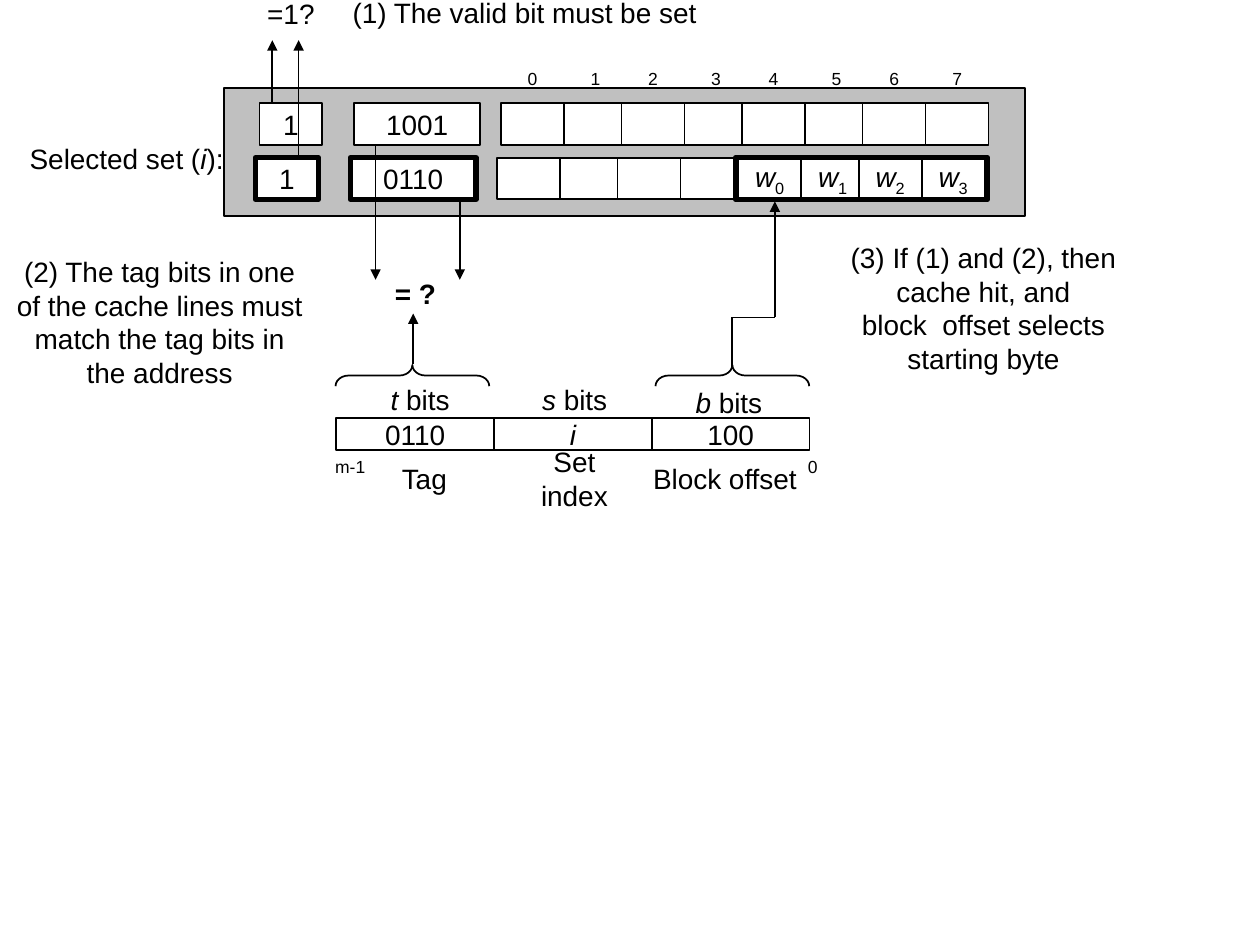
from lxml.etree import SubElement
from pptx import Presentation
from pptx.dml.color import RGBColor
from pptx.enum.shapes import MSO_CONNECTOR, MSO_SHAPE
from pptx.enum.text import MSO_ANCHOR, MSO_AUTO_SIZE, PP_ALIGN
from pptx.oxml.ns import qn
from pptx.util import Cm, Pt

HUES = {"ink": "000000", "paper": "FFFFFF", "set": "C0C0C0"}
HIGH = 0.84
TOP, LOW = 2.08, 3.18


def hue(name):
    """Return the named colour."""
    return RGBColor.from_string(HUES[name])


def write(frame, text, size=16, bold=False, sub="", wrap=False):
    """Fill a frame, one paragraph a line, with *stars* marking italics."""
    frame.word_wrap = wrap
    frame.vertical_anchor = MSO_ANCHOR.MIDDLE
    for row, line in enumerate(text.split("\n")):
        para = frame.add_paragraph() if row else frame.paragraphs[0]
        para.alignment = PP_ALIGN.CENTER
        parts = [(part, n % 2 == 1, False) for n, part in enumerate(line.split("*"))]
        for part, slant, low in parts + [(sub, False, True)]:
            if not part:
                continue
            run = para.add_run()
            run.text = part
            font = run.font
            font.name, font.size = "Arial", Pt(size)
            font.bold, font.italic = bold, slant
            font.color.rgb = hue("ink")
            if low:
                font._element.set("baseline", "-25000")


def box(slide, at, text="", fill="paper", line=1, kind=MSO_SHAPE.RECTANGLE, **form):
    """Add an outlined shape, with text if given."""
    shape = slide.shapes.add_shape(kind, *map(Cm, at))
    shape.shadow.inherit = False
    if fill:
        shape.fill.solid()
        shape.fill.fore_color.rgb = hue(fill)
    else:
        shape.fill.background()
    shape.line.color.rgb = hue("ink")
    shape.line.width = Pt(line)
    if text:
        write(shape.text_frame, text, **form)
    return shape


def label(slide, at, text, grow=True, **form):
    """Add a text box."""
    frame = slide.shapes.add_textbox(*map(Cm, at)).text_frame
    write(frame, text, **form)
    frame.auto_size = MSO_AUTO_SIZE.SHAPE_TO_FIT_TEXT if grow else MSO_AUTO_SIZE.NONE


def wire(slide, ends, tip=True):
    """Add a straight line, with an arrowhead at its end if tip is set."""
    link = slide.shapes.add_connector(MSO_CONNECTOR.STRAIGHT, *map(Cm, ends))
    link.line.color.rgb = hue("ink")
    link.line.width = Pt(1)
    if tip:
        SubElement(link.line._get_or_add_ln(), qn("a:tailEnd"), type="triangle")
    SubElement(link._element.spPr, qn("a:effectLst"))


def brace(slide, left):
    """Add a brace that opens downward over an address field."""
    shape = box(slide, (left, 6.02, 0.43, 3.1), fill=None, kind=MSO_SHAPE.RIGHT_BRACE)
    shape.rotation = 270
    shape.adjustments[0] = 0.608


def place(n):
    """Return the left edge of byte n in the top cache line."""
    return 10.1 + 2.43 * (n // 2) + 1.27 * (n % 2)


def cache(slide):
    """Draw the selected set with its two lines and byte numbers."""
    box(slide, (4.52, 1.78, 16.15, 2.57), fill="set")
    for top, shift, tag, line in ((LOW, -0.08, "0110", 3), (TOP, 0, "1001", 1)):
        box(slide, (5.23 + shift, top, 1.27, HIGH), "1", line=line)
        box(slide, (7.14 + shift, top, 2.54, HIGH), tag, line=line)
        for n in range(8):
            word = top == LOW and n > 3
            box(slide, (place(n) + shift, top, 1.27, HIGH),
                "*w*" if word else "", sub=str(n - 4))
    box(slide, (14.83, LOW, 5.08, HIGH), fill=None, line=3)
    for n in range(8):
        label(slide, (place(n), 1.17, 1.27, HIGH), str(n), grow=False, size=10)


def fields(slide):
    """Draw the address with its three fields and their names."""
    for n, text in enumerate(("0110", "*i*", "100")):
        box(slide, (6.78 + 3.18 * n, 8.43, 3.18, 0.64), text, fill=None)
    for left, top, wide, text in (
        (7.62, 7.59, 1.7, "*t* bits"),
        (10.67, 7.59, 1.83, "*s* bits"),
        (13.77, 7.65, 1.85, "*b* bits"),
        (7.82, 9.19, 1.47, "Tag"),
        (10.16, 9.19, 2.84, "Set index"),
        (12.9, 9.19, 3.43, "Block offset"),
    ):
        label(slide, (left, top, wide, 0.91), text)
    label(slide, (6.5, 9.07, 1.12, 0.69), "m-1", size=10)
    label(slide, (16.03, 9.07, 0.71, 0.69), "0", size=10)
    for left in (8.1, 14.55):
        brace(slide, left)


def notes(slide):
    """Add the set label, the tests and the three numbered steps."""
    label(slide, (0.33, 2.72, 4.45, 0.94), "Selected set (*i*):")
    label(slide, (5.13, -0.2, 1.47, 0.94), "=1?")
    label(slide, (7.7, 5.44, 1.35, 0.94), "= ?", bold=True)
    label(slide, (6.83, -0.23, 7.49, 0.94), "(1) The valid bit must be set")
    label(slide, (-1.35, 5, 9.14, 2.97),
          "(2) The tag bits in one\nof the cache lines must\n"
          "match the tag bits in\nthe address", wrap=True)
    label(slide, (15.8, 4.72, 8.05, 2.97),
          "(3) If (1) and (2), then\ncache hit, and\n"
          "block  offset selects\nstarting byte", wrap=True)


def wires(slide):
    """Draw the arrows and the bent path to the starting byte."""
    for ends in (
        (5.49, TOP, 5.49, 0.81),
        (6.02, LOW, 6.02, 0.81),
        (7.57, 2.92, 7.57, 5.64),
        (9.27, 3.99, 9.27, 5.64),
        (8.33, 7.34, 8.33, 6.32),
        (15.62, 6.4, 15.62, 4.06),
    ):
        wire(slide, ends)
    wire(slide, (14.75, 6.4, 15.62, 6.4), tip=False)
    wire(slide, (14.75, 6.4, 14.75, 7.44), tip=False)


def main():
    """Build and save the slide."""
    deck = Presentation()
    deck.slide_width, deck.slide_height = Cm(25.4), Cm(19.05)
    slide = deck.slides.add_slide(deck.slide_layouts[6])
    for draw in (cache, fields, notes, wires):
        draw(slide)
    deck.save("out.pptx")


if __name__ == "__main__":
    main()
